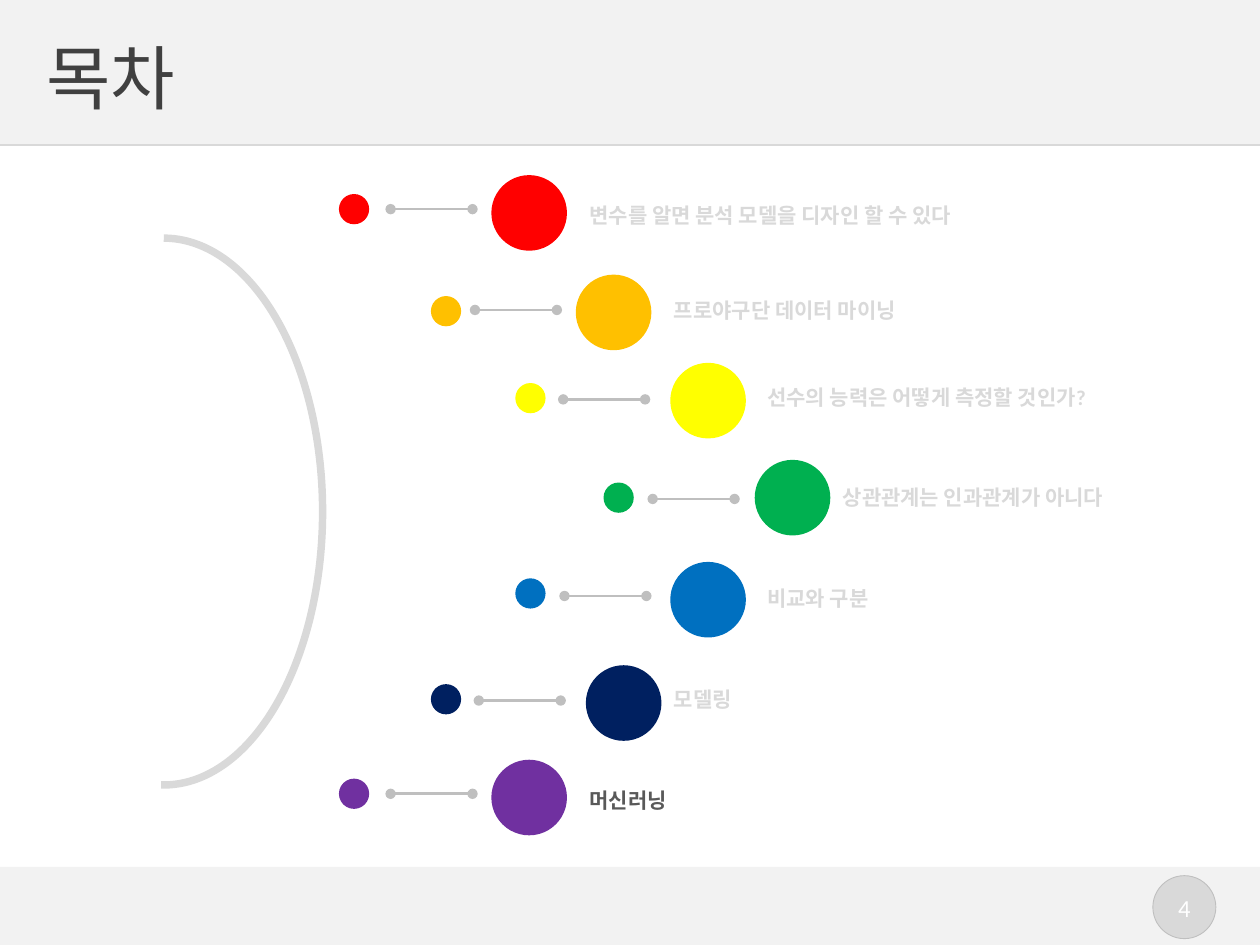
from lxml import etree
from pptx import Presentation
from pptx import util as u
from pptx.dml.color import RGBColor
from pptx.enum import shapes, text
from pptx.oxml.ns import qn

FONT = "Calibri"
BAND, PALE, GREY = "F2F2F2", "D9D9D9", "BFBFBF"
DOT, CIRCLE, LINK = 0.24, 0.6, 0.65
LABEL_WIDTH, LABEL_HEIGHT = 4.25, 0.3

# Label, label colour, circle colour, then left and top of dot, link, circle, label
TOPICS = [
    ("변수를 알면 분석 모델을 디자인 할 수 있다", PALE, "FF0000",
     (2.69, 1.54), (3.1, 1.66), (3.9, 1.39), (4.58, 1.56)),
    ("프로야구단 데이터 마이닝", PALE, "FFC000",
     (3.42, 2.35), (3.77, 2.46), (4.57, 2.18), (5.25, 2.31)),
    ("선수의 능력은 어떻게 측정할 것인가?", PALE, "FFFF00",
     (4.09, 3.04), (4.47, 3.17), (5.32, 2.88), (5.99, 3)),
    ("상관관계는 인과관계가 아니다", PALE, "00B050",
     (4.79, 3.83), (5.18, 3.96), (5.99, 3.65), (6.59, 3.8)),
    ("비교와 구분", PALE, "0070C0",
     (4.09, 4.59), (4.48, 4.73), (5.32, 4.46), (5.99, 4.6)),
    ("모델링", PALE, "002060",
     (3.42, 5.43), (3.8, 5.56), (4.65, 5.28), (5.25, 5.4)),
    ("머신러닝", "595959", "7030A0",
     (2.69, 6.18), (3.1, 6.3), (3.9, 6.03), (4.58, 6.2)),
]


def rgb(color):
    return RGBColor.from_string(color)


def write(shape, words, size, color, bold=False, align=text.PP_ALIGN.LEFT,
          anchor=text.MSO_ANCHOR.TOP, wrap=True):
    frame = shape.text_frame
    frame.word_wrap = wrap
    frame.vertical_anchor = anchor
    paragraph = frame.paragraphs[0]
    paragraph.alignment = align
    run = paragraph.add_run()
    run.text = words
    run.font.name, run.font.size = FONT, u.Pt(size)
    run.font.bold, run.font.color.rgb = bold, rgb(color)
    return frame


def add_shape(parent, kind, box, fill=None, line=None, width=0.5):
    shape = parent.add_shape(kind, *map(u.Inches, box))
    shape.shadow.inherit = False
    if fill:
        shape.fill.solid()
        shape.fill.fore_color.rgb = rgb(fill)
    else:
        shape.fill.background()
    if line:
        shape.line.color.rgb = rgb(line)
        shape.line.width = u.Pt(width)
    else:
        shape.line.fill.background()
    return shape


def add_line(parent, start, length, color, width, ends=None):
    left, top = start
    line = parent.add_connector(shapes.MSO_CONNECTOR.STRAIGHT,
                                *map(u.Inches, (left, top, left + length, top)))
    line.line.color.rgb = rgb(color)
    line.line.width = u.Pt(width)
    if ends:
        for tag in ("a:headEnd", "a:tailEnd"):
            etree.SubElement(line.line._get_or_add_ln(), qn(tag), type=ends)
    etree.SubElement(line.element.spPr, qn("a:effectLst"))


presentation = Presentation()
presentation.slide_width, presentation.slide_height = u.Inches(10), u.Inches(7.5)
slide = presentation.slides.add_slide(presentation.slide_layouts[5])
RECTANGLE, OVAL = shapes.MSO_SHAPE.RECTANGLE, shapes.MSO_SHAPE.OVAL

# Footer band with page number
add_shape(slide.shapes, RECTANGLE, (0, 6.88, 10, 0.62), BAND)
add_shape(slide.shapes, OVAL, (9.15, 6.95, 0.5, 0.5), PALE, GREY)
page = slide.shapes.add_textbox(*map(u.Inches, (9.18, 7.04, 0.44, 0.34)))
write(page, "4", 14, "FFFFFF", align=text.PP_ALIGN.CENTER, wrap=False)

# Header band, with the title brought in front of it
add_shape(slide.shapes, RECTANGLE, (0, 0, 10, 1.15), BAND)
add_line(slide.shapes, (0, 1.15), 10, PALE, 0.75)
title = slide.shapes.title
title.left, title.top, title.width, title.height = map(u.Inches, (0.37, 0.31, 9.27, 0.6))
frame = write(title, "목차", 40, "404040", anchor=text.MSO_ANCHOR.MIDDLE)
frame.auto_size = text.MSO_AUTO_SIZE.NONE
frame.margin_left = frame.margin_right = frame.margin_top = frame.margin_bottom = 0
title.element.getparent().append(title.element)

# Half ring
arc = add_shape(slide.shapes, shapes.MSO_SHAPE.ARC, (0.04, 1.89, 2.52, 4.34),
                line=PALE, width=4.25)
arc.adjustments[0], arc.adjustments[1] = 162, 54.33

# Topics
for words, ink, color, dot, link, circle, label in TOPICS:
    group = slide.shapes.add_group_shape().shapes
    add_shape(group, OVAL, (*dot, DOT, DOT), color)
    add_shape(group, OVAL, (*circle, CIRCLE, CIRCLE), color)
    box = group.add_textbox(*map(u.Inches, (*label, LABEL_WIDTH, LABEL_HEIGHT)))
    write(box, words, 12, ink, bold=True)
    add_line(group, link, LINK, GREY, 1.5, ends="oval")

presentation.save("out.pptx")
